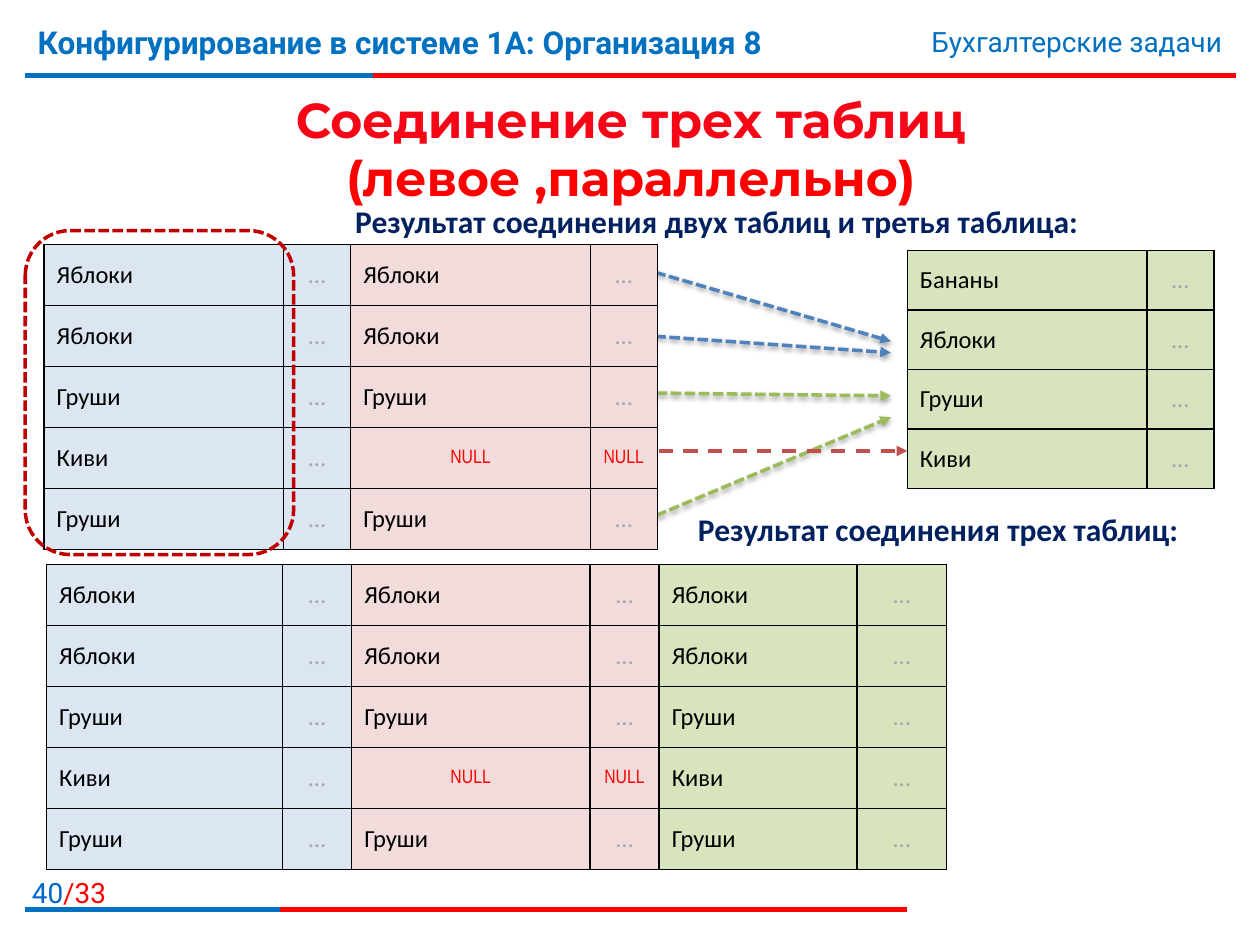
from lxml import etree
from pptx import Presentation
from pptx import util as u
from pptx.dml.color import RGBColor
from pptx.enum import dml, shapes, text
from pptx.oxml import parse_xml
from pptx.oxml.ns import qn

# Content
HEAD = "Конфигурирование в системе 1А: Организация 8"
TOPIC = "Бухгалтерские задачи"
TITLE = ["Соединение трех таблиц", "(левое ,параллельно)"]
PAGE = ["40", "/33"]
NOTES = [  # text, box
    ("Результат соединения двух таблиц и третья таблица:", (6.91, 3.94, 15.24, 1.02)),
    ("Результат соединения трех таблиц:", (13.82, 10.16, 10.29, 1.02)),
]
FRUIT = ["Яблоки", "Яблоки", "Груши", "Киви", "Груши"]
MATCH = ["NULL" if name == "Киви" else name for name in FRUIT]
THIRD = ["Бананы", "Яблоки", "Груши", "Киви"]

# Theme
THEME = {
    "blue": "0070C0", "page": "0066CC", "red": "FF0000", "title": "F50516",
    "navy": "002060", "black": "000000", "gray": "A6A6A6", "frame": "C00000",
    "first": "DCE6F2", "second": "F2DCDB", "third": "D7E4BD",
    "sky": "4F81BD", "green": "9BBB59", "brick": "C0504D",
    "h1": 28, "h2": 18, "h3": 16, "cell": 14, "null": 11,
    "display": "Montserrat", "sans": "Roboto", "body": "Calibri", "narrow": "Arial Narrow",
}

# Layout in centimetres
TABLES = [  # left, top, row height, column widths, (fill, values) for each pair
    (0.89, 4.93, 1.23, [4.83, 1.35] * 2, [("first", FRUIT), ("second", MATCH)]),
    (18.29, 5.05, 1.2, [4.83, 1.35], [("third", THIRD)]),
    (0.94, 11.38, 1.23, [4.75, 1.4, 4.8, 1.4, 3.99, 1.8],
     [("first", FRUIT), ("second", MATCH), ("third", FRUIT)]),
]
RULES = [  # start, end, colour
    ((0.51, 1.52), (24.92, 1.52), "red"), ((0.51, 1.52), (7.52, 1.52), "blue"),
    ((0.51, 18.34), (18.29, 18.34), "red"), ((0.51, 18.34), (5.64, 18.34), "blue"),
]
LINKS = [
    ((13.21, 5.49), (17.96, 6.88), "sky"), ((13.21, 6.78), (17.96, 7.11), "sky"),
    ((12.95, 7.92), (17.96, 7.98), "green"), ((13.23, 10.39), (17.96, 8.41), "green"),
]
NS = 'xmlns:a="http://schemas.openxmlformats.org/drawingml/2006/main"'
SHADE = (f'<a:effectLst {NS}><a:outerShdw blurRad="39370" dist="20320" dir="5400000" '
         'rotWithShape="0"><a:srgbClr val="000000"><a:alpha val="38000"/></a:srgbClr>'
         '</a:outerShdw></a:effectLst>')
DASH = dml.MSO_LINE_DASH_STYLE
ALIGN = text.PP_ALIGN

deck = Presentation()
deck.slide_width, deck.slide_height = u.Cm(25.4), u.Cm(19.05)
slide = deck.slides.add_slide(deck.slide_layouts[5])


def color(name):
    return RGBColor.from_string(THEME[name])


def style(run, face, size, hue, bold=False):
    run.font.name, run.font.size = THEME[face], u.Pt(THEME[size])
    run.font.color.rgb, run.font.bold = color(hue), bold


def label(words, box, face, size, hue, bold=False, align=ALIGN.LEFT, wrap=True):
    frame = slide.shapes.add_textbox(*map(u.Cm, box)).text_frame
    frame.word_wrap = wrap
    line = frame.paragraphs[0]
    line.text, line.alignment = words, align
    style(line.runs[0], face, size, hue, bold)
    return line


def link(start, end, hue, width, dash=None, shade=False):
    line = slide.shapes.add_connector(
        shapes.MSO_CONNECTOR.STRAIGHT, *map(u.Cm, start + end))
    line.line.color.rgb, line.line.width = color(hue), u.Pt(width)
    if dash:
        line.line.dash_style = dash
        etree.SubElement(line.line._get_or_add_ln(), qn("a:tailEnd"), type="triangle")
    line._element.spPr.append(parse_xml(SHADE if shade else f"<a:effectLst {NS}/>"))


def edge(cell):
    props = cell._tc.get_or_add_tcPr()
    for spot, side in enumerate(("lnL", "lnR", "lnT", "lnB")):
        props.insert(spot, parse_xml(
            f'<a:{side} {NS} w="12700"><a:solidFill><a:srgbClr val="{THEME["black"]}"/>'
            f'</a:solidFill></a:{side}>'))


def fill(cell, words, hue):
    cell.fill.solid()
    cell.fill.fore_color.rgb = color(hue)
    edge(cell)
    cell.vertical_anchor = text.MSO_ANCHOR.MIDDLE
    line = cell.text_frame.paragraphs[0]
    line.text = words
    line.alignment = ALIGN.CENTER if words in ("…", "NULL") else ALIGN.LEFT
    if words == "NULL":
        style(line.runs[0], "narrow", "null", "red")
    else:
        style(line.runs[0], "body", "cell", "gray" if words == "…" else "black")


def table(left, top, high, widths, pairs):
    count = len(pairs[0][1])
    box = map(u.Cm, (left, top, sum(widths), high * count))
    grid = slide.shapes.add_table(count, len(widths), *box).table
    grid.first_row = grid.horz_banding = False
    for col, width in zip(grid.columns, widths):
        col.width = u.Cm(width)
    for row in grid.rows:
        row.height = u.Cm(high)
    for pair, (hue, names) in enumerate(pairs):
        for row, name in enumerate(names):
            fill(grid.cell(row, 2 * pair), name, hue)
            fill(grid.cell(row, 2 * pair + 1), "NULL" if name == "NULL" else "…", hue)


# Header and footer
for start, end, hue in RULES:
    link(start, end, hue, 3)
page = label(PAGE[0], (0, 17.53, 2.39, 0.81), "sans", "h3", "page", align=ALIGN.RIGHT)
total = page.add_run()
total.text = PAGE[1]
style(total, "sans", "h3", "red")
label(HEAD, (0.51, 0.33, 18.8, 1.57), "sans", "h2", "blue", bold=True)
label(TOPIC, (15.09, 0.38, 9.8, 0.94), "sans", "h3", "blue", align=ALIGN.RIGHT)

# Title
title = slide.shapes.title
title.left, title.top, title.width, title.height = map(u.Cm, (0.51, 1.52, 24.41, 2.92))
title.text_frame.text = "\v".join(TITLE)
title.text_frame.vertical_anchor = text.MSO_ANCHOR.MIDDLE
title.text_frame.paragraphs[0].alignment = ALIGN.CENTER
for run, hue in zip(title.text_frame.paragraphs[0].runs, ("title", "red")):
    style(run, "display", "h1", hue, bold=True)

# Captions, links and tables
for words, box in NOTES:
    label(words, box, "body", "h2", "navy", bold=True, wrap=False)
for start, end, hue in LINKS:
    link(start, end, hue, 2, DASH.SQUARE_DOT, shade=True)
for spec_row in TABLES:
    table(*spec_row)
link((13.28, 9.09), (18.29, 9.09), "brick", 2, DASH.DASH)

# Frame around the key column
ring = slide.shapes.add_shape(
    shapes.MSO_SHAPE.ROUNDED_RECTANGLE, *map(u.Cm, (0.51, 4.65, 5.41, 6.53)))
ring.shadow.inherit = False
ring.fill.background()
ring.line.color.rgb, ring.line.width = color("frame"), u.Pt(2)
ring.line.dash_style = DASH.SQUARE_DOT

deck.save("out.pptx")
